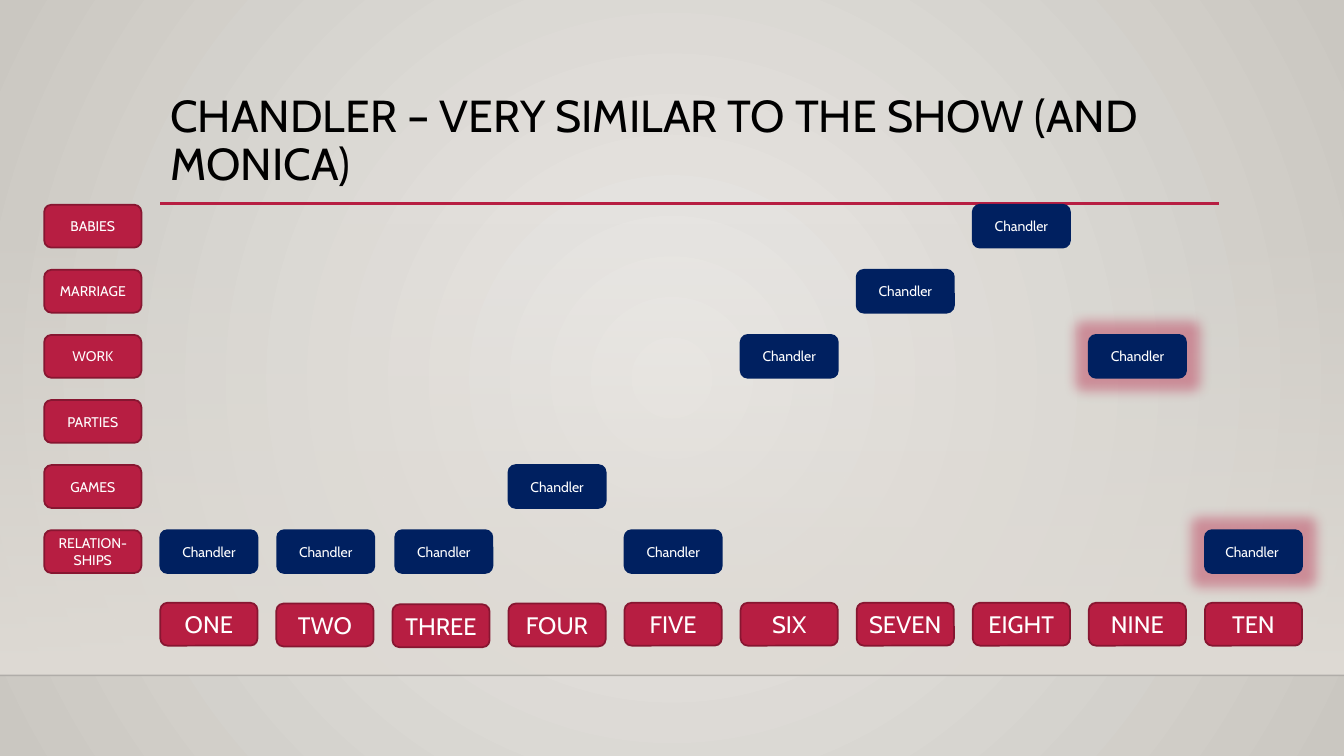
from dataclasses import dataclass

from lxml import etree
from pptx import Presentation
from pptx.dml.color import RGBColor
from pptx.enum.shapes import MSO_CONNECTOR, MSO_SHAPE
from pptx.enum.text import MSO_ANCHOR, PP_ALIGN
from pptx.oxml.ns import qn
from pptx.util import Cm, Pt

ROUND = MSO_SHAPE.ROUNDED_RECTANGLE
RECT = MSO_SHAPE.RECTANGLE
STRAIGHT = MSO_CONNECTOR.STRAIGHT
MIDDLE = MSO_ANCHOR.MIDDLE
CENTER = PP_ALIGN.CENTER

FONT = "Cabin"
RED, DARK, NAVY = "B71E42", "871631", "002060"
WIDE, HIGH = 33.87, 19.05
LEFT, TOP = 4.04, 5.16
STEP, DROP = 2.925, 1.64
BASE = 15.19

TOPICS = ["BABIES", "MARRIAGE", "WORK", "PARTIES", "GAMES", "RELATION-SHIPS"]


@dataclass
class Box:
    text: str
    x: float
    y: float
    fill: str = RED
    edge: str = DARK
    size: int = 10
    glow: bool = False


@dataclass
class Season:
    name: str
    row: int
    dip: float = 0
    shift: float = 0
    glow: bool = False
    text: str = "Chandler"


@dataclass
class Rule:
    x: float
    end: float
    y: float
    color: str
    width: float
    alpha: int = 100


SEASONS = [
    Season("ONE", 5),
    Season("TWO", 5, dip=0.02, shift=0.02),
    Season("THREE", 5, dip=0.04, shift=0.07),
    Season("FOUR", 4, dip=0.02),
    Season("FIVE", 5),
    Season("SIX", 2),
    Season("SEVEN", 1),
    Season("EIGHT", 0),
    Season("NINE", 2, glow=True),
    Season("TEN", 5, glow=True, text="Chandler "),
]

RULES = [
    Rule(0, WIDE, 17.02, "000001", 1, alpha=20),
    Rule(LEFT, 30.73, 5.13, RED, 2.5),
]


def rgb(code: str) -> RGBColor:
    return RGBColor.from_string(code)


def fade(node, share: int) -> None:
    tint = node.find(".//" + qn("a:srgbClr"))
    etree.SubElement(tint, qn("a:alpha"), val=str(share * 1000))


def blend(fill, first: str, last: str) -> None:
    fill.gradient()
    for stop, code in zip(fill.gradient_stops, (first, last)):
        stop.color.rgb = rgb(code)


def draw_back(slide) -> None:
    blend(slide.background.fill, "ECEAE7", "CAC7C1")
    lin = slide.element.find(".//" + qn("a:lin"))
    ring = etree.Element(qn("a:path"), path="circle")
    sides = dict.fromkeys("ltrb", "50000")
    etree.SubElement(ring, qn("a:fillToRect"), sides)
    lin.getparent().replace(lin, ring)

    band = slide.shapes.add_shape(RECT, 0, Cm(5.61), Cm(WIDE), Cm(11.41))
    band.shadow.inherit = False
    band.line.fill.background()
    blend(band.fill, "DFDBD5", "DFDBD5")
    band.fill.gradient_angle = 270
    fade(band.element.spPr, 0)


def draw_rule(slide, rule: Rule) -> None:
    line = slide.shapes.add_connector(
        STRAIGHT, Cm(rule.x), Cm(rule.y), Cm(rule.end), Cm(rule.y)
    )
    line.line.color.rgb = rgb(rule.color)
    line.line.width = Pt(rule.width)
    props = line.element.spPr
    if rule.alpha < 100:
        fade(props, rule.alpha)
    etree.SubElement(props, qn("a:effectLst"))


def draw_title(slide, text: str) -> None:
    box = slide.shapes.add_textbox(Cm(LEFT), Cm(2.24), Cm(26.67), Cm(2.92))
    frame = box.text_frame
    frame.word_wrap = True
    para = frame.paragraphs[0]
    para.text = text
    para.line_spacing = 0.9
    para.font.name = FONT
    para.font.size = Pt(32)
    para.font.color.rgb = rgb("000000")


def draw_box(slide, box: Box) -> None:
    shape = slide.shapes.add_shape(
        ROUND, Cm(box.x), Cm(box.y), Cm(2.45), Cm(1.08)
    )
    shape.shadow.inherit = False
    shape.fill.solid()
    shape.fill.fore_color.rgb = rgb(box.fill)
    shape.line.color.rgb = rgb(box.edge)
    shape.line.width = Pt(1.25)
    if box.glow:
        effects = shape.element.spPr.find(qn("a:effectLst"))
        halo = etree.SubElement(effects, qn("a:glow"), rad=str(Pt(18)))
        tint = etree.SubElement(halo, qn("a:srgbClr"), val=RED)
        etree.SubElement(tint, qn("a:alpha"), val="40000")
    frame = shape.text_frame
    frame.word_wrap = True
    frame.margin_left = frame.margin_right = 0
    frame.vertical_anchor = MIDDLE
    para = frame.paragraphs[0]
    para.text = box.text
    para.alignment = CENTER
    para.font.name = FONT
    para.font.size = Pt(box.size)
    para.font.color.rgb = rgb("FFFFFF")


def list_boxes() -> list[Box]:
    cols = [LEFT + STEP * i for i in range(len(SEASONS))]
    rows = [TOP + DROP * i for i in range(len(TOPICS))]
    names = [
        Box(s.name, x, BASE + s.dip, size=17) for s, x in zip(SEASONS, cols)
    ]
    topics = [Box(text, LEFT - STEP, y) for text, y in zip(TOPICS, rows)]
    marks = [
        Box(s.text, x + s.shift, rows[s.row], NAVY, NAVY, glow=s.glow)
        for s, x in zip(SEASONS, cols)
    ]
    return names + topics + marks


def main() -> None:
    deck = Presentation()
    deck.slide_width, deck.slide_height = Cm(WIDE), Cm(HIGH)
    slide = deck.slides.add_slide(deck.slide_layouts[6])
    draw_back(slide)
    for rule in RULES:
        draw_rule(slide, rule)
    draw_title(slide, "CHANDLER – VERY SIMILAR TO THE SHOW (AND MONICA)")
    for box in list_boxes():
        draw_box(slide, box)
    deck.save("out.pptx")


if __name__ == "__main__":
    main()
